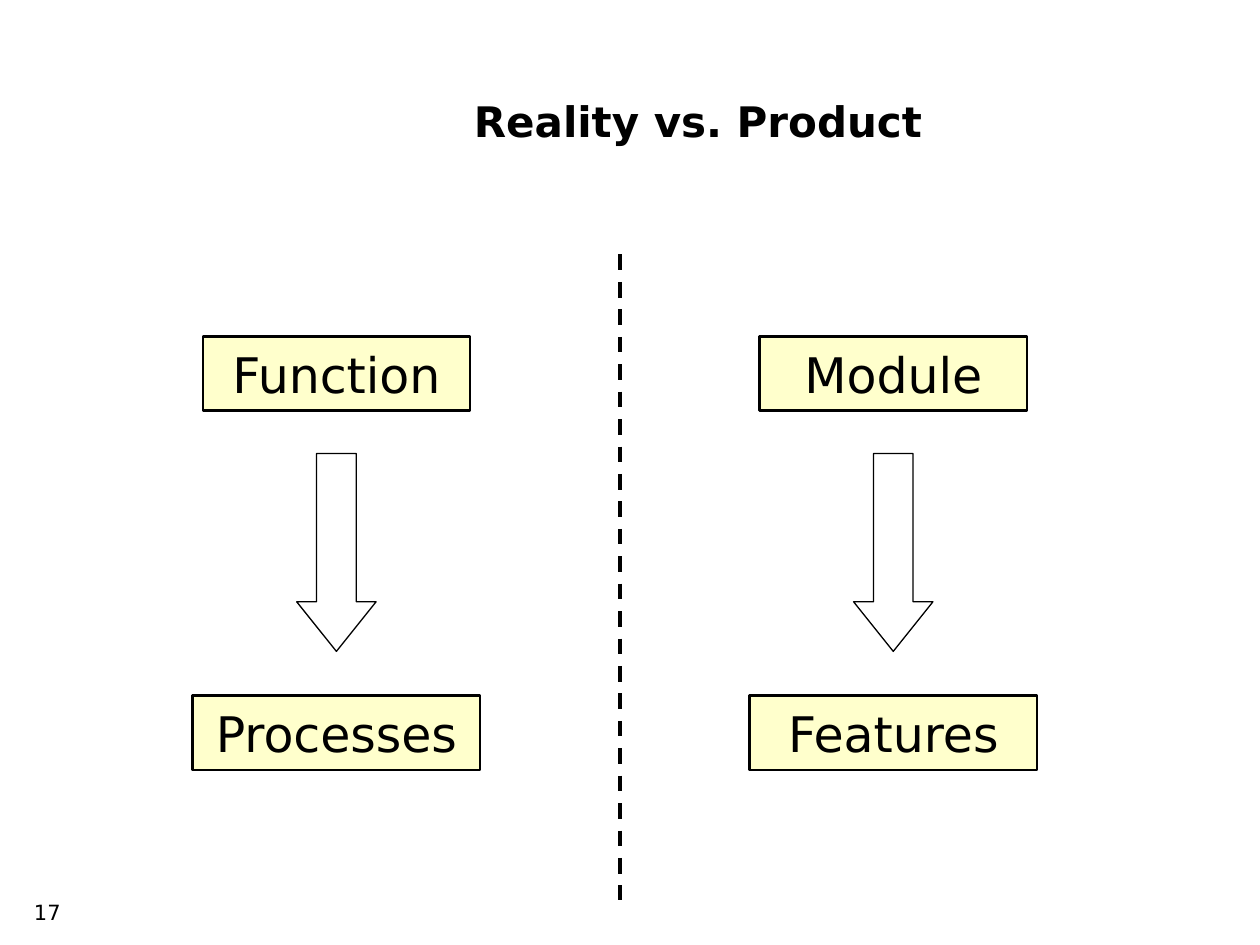
from pptx import Presentation
from pptx.dml.color import RGBColor
from pptx.enum import dml, shapes, text
from pptx.oxml.ns import qn
from pptx.util import Inches, Pt
from lxml import etree

FONT = "DejaVu Sans"
BLACK, WHITE, CREAM = "000000", "FFFFFF", "FFFFCC"
COLUMNS = [(2.67, "Function", "Processes"), (7.09, "Module", "Features")]


def color(value):
    return RGBColor.from_string(value)


def set_text(sp, content, align, **fmt):
    tf = sp.text_frame
    tf.word_wrap = True
    tf.vertical_anchor = text.MSO_ANCHOR.MIDDLE
    p = tf.paragraphs[0]
    p.alignment = align
    r = p.add_run()
    r.text = content
    for name, value in {"name": FONT, **fmt}.items():
        setattr(r.font, name, value)
    r.font.color.rgb = color(BLACK)


def add_text(s, box, content, align, **fmt):
    sp = s.shapes.add_textbox(*map(Inches, box))
    set_text(sp, content, align, **fmt)


def add_centered(s, kind, center, top, width, height, fill, line_width):
    left = center - width / 2
    sp = s.shapes.add_shape(kind, *map(Inches, (left, top, width, height)))
    sp.shadow.inherit = False
    sp.fill.solid()
    sp.fill.fore_color.rgb = color(fill)
    sp.line.color.rgb = color(BLACK)
    sp.line.width = Pt(line_width)
    return sp


def add_label(s, center, top, width, content):
    sp = add_centered(s, shapes.MSO_SHAPE.RECTANGLE, center, top, width, 0.59, CREAM, 1.5)
    set_text(sp, content, text.PP_ALIGN.CENTER, size=Pt(28))


def add_arrow(s, center):
    sp = add_centered(s, shapes.MSO_SHAPE.DOWN_ARROW, center, 3.6, 0.63, 1.57, WHITE, 0.75)
    sp.adjustments[0] = 0.5
    sp.adjustments[1] = 0.625


def add_divider(s, x, top, bottom):
    ends = map(Inches, (x, top, x, bottom))
    line = s.shapes.add_connector(shapes.MSO_CONNECTOR.STRAIGHT, *ends)
    line.line.color.rgb = color(BLACK)
    line.line.width = Pt(2.25)
    line.line.dash_style = dml.MSO_LINE.DASH
    etree.SubElement(line._element.spPr, qn("a:effectLst"))


def main():
    prs = Presentation()
    prs.slide_width, prs.slide_height = Inches(10), Inches(7.5)
    s = prs.slides.add_slide(prs.slide_layouts[6])
    add_text(s, (0, 7.03, 0.58, 0.42), "17", text.PP_ALIGN.RIGHT, size=Pt(12))
    add_text(s, (1.5, 0.33, 8.08, 1.25), "Reality vs. Product",
             text.PP_ALIGN.CENTER, size=Pt(24), bold=True)
    for center, source, result in COLUMNS:
        add_label(s, center, 2.67, 2.12, source)
        add_label(s, center, 5.52, 2.28, result)
        add_arrow(s, center)
    add_divider(s, 4.92, 2.02, 7.14)
    prs.save("out.pptx")


if __name__ == "__main__":
    main()
